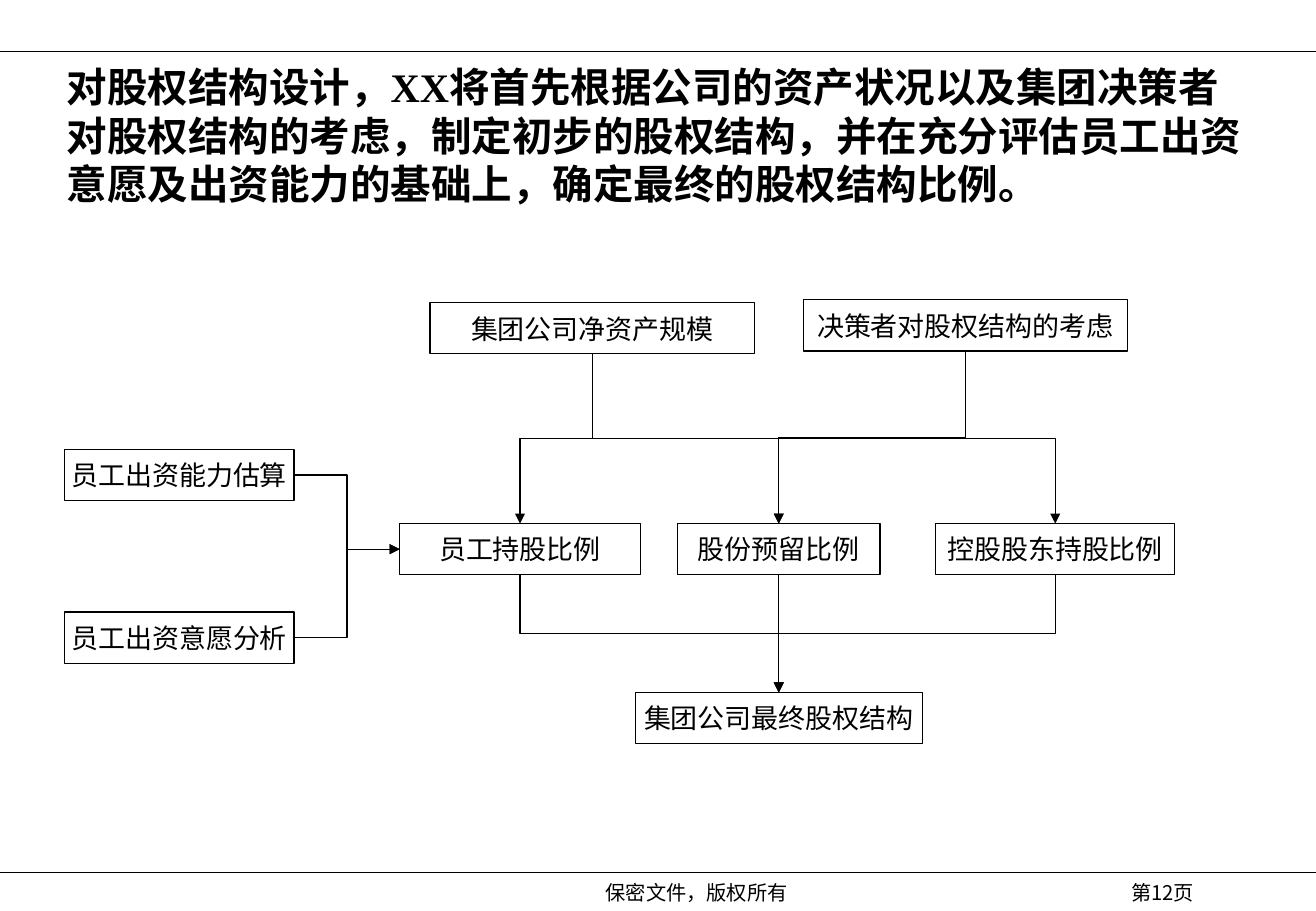
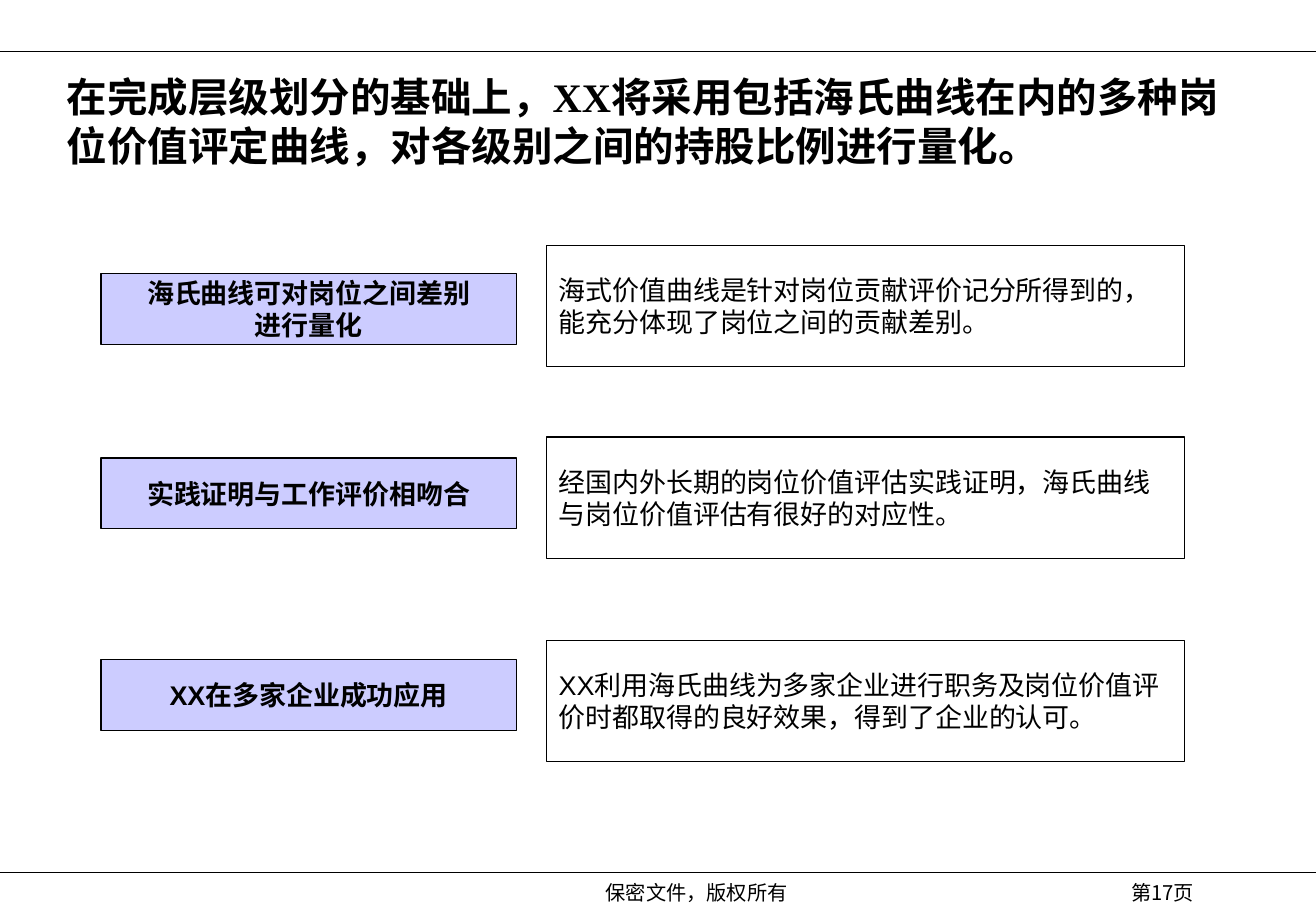
import lxml.etree
import pptx
import pptx.dml.color
import pptx.enum.shapes
import pptx.enum.text
import pptx.oxml.ns
import pptx.util

Cm = pptx.util.Cm
Pt = pptx.util.Pt
qn = pptx.oxml.ns.qn
ALIGN = pptx.enum.text.PP_ALIGN
CONNECTOR = pptx.enum.shapes.MSO_CONNECTOR

BLACK = pptx.dml.color.RGBColor(0, 0, 0)
WHITE = pptx.dml.color.RGBColor(255, 255, 255)
LAVENDER = pptx.dml.color.RGBColor(0xCC, 0xCC, 0xFF)
TITLE_FONT, BODY_FONT, PAGE_FONT = "Times New Roman", "Arial", "Noto Sans CJK SC"

SLIDE_WIDTH, SLIDE_HEIGHT = 27.51, 19.05
RULES = [1.07, 18.24]
FOOTER_TOP, FOOTER_HEIGHT = 18.29, 0.76
FOOTER_TEXT = "保密文件，版权所有"

# Slide content: lengths in centimetres
STRUCTURE_TITLE = ("对股权结构设计，XX将首先根据公司的资产状况以及集团决策者对股权结构的考虑，"
                   "制定初步的股权结构，并在充分评估员工出资意愿及出资能力的基础上，确定最终的股权结构比例。")
BOX_HEIGHT = 1.07
BOXES = {  # name: (text, centre, top, width)
    "assets": ("集团公司净资产规模", 12.38, 6.33, 6.78),
    "decision": ("决策者对股权结构的考虑", 20.18, 6.27, 6.78),
    "staff": ("员工持股比例", 10.87, 10.95, 5.03),
    "reserve": ("股份预留比例", 16.28, 10.95, 4.24),
    "holder": ("控股股东持股比例", 22.06, 10.95, 5),
    "ability": ("员工出资能力估算", 3.75, 9.4, 4.8),
    "willingness": ("员工出资意愿分析", 3.75, 12.8, 4.8),
    "final": ("集团公司最终股权结构", 16.28, 14.48, 6),
}
DOWN_ARROWS = [("assets", "staff"), ("assets", "reserve"), ("assets", "holder"),
               ("decision", "reserve"), ("staff", "final"), ("reserve", "final"),
               ("holder", "final")]
RIGHT_ARROWS = [("ability", "staff"), ("willingness", "staff")]

CURVE_TITLE = ("在完成层级划分的基础上，XX将采用包括海氏曲线在内的多种岗位价值评定曲线，"
               "对各级别之间的持股比例进行量化。")
LABEL_LEFT, LABEL_WIDTH, LABEL_HEIGHT = 2.11, 8.69, 1.48
DETAIL_LEFT, DETAIL_WIDTH, DETAIL_HEIGHT = 11.43, 13.34, 2.54
CURVE_ROWS = [  # label top, label, detail top, detail
    (5.72, "海氏曲线可对岗位之间差别\n进行量化",
     5.13, "海式价值曲线是针对岗位贡献评价记分所得到的，能充分体现了岗位之间的贡献差别。"),
    (9.58, "实践证明与工作评价相吻合",
     9.14, "经国内外长期的岗位价值评估实践证明，海氏曲线与岗位价值评估有很好的对应性。"),
    (13.79, "XX在多家企业成功应用",
     13.39, "XX利用海氏曲线为多家企业进行职务及岗位价值评价时都取得的良好效果，得到了企业的认可。"),
]


def write(shape, text, size, font, align, bold=False, wrap=True):
    frame = shape.text_frame
    frame.text = text
    frame.word_wrap = wrap
    frame.auto_size = pptx.enum.text.MSO_AUTO_SIZE.NONE
    for paragraph in frame.paragraphs:
        paragraph.alignment = align
        paragraph.font.size = Pt(size)
        paragraph.font.name = font
        paragraph.font.bold = bold
        paragraph.font.color.rgb = BLACK


def style_line(connector, arrow=False):
    connector.line.color.rgb = BLACK
    connector.line.width = Pt(0.75)
    properties = connector.element.spPr
    if arrow:
        lxml.etree.SubElement(properties.find(qn("a:ln")), qn("a:tailEnd"), type="triangle")
    lxml.etree.SubElement(properties, qn("a:effectLst"))


def add_footer(slide, left, width, text, font):
    footer = slide.shapes.add_textbox(Cm(left), Cm(FOOTER_TOP), Cm(width), Cm(FOOTER_HEIGHT))
    write(footer, text, 12, font, ALIGN.CENTER)
    return footer


def add_frame(slide):
    """Draw the rules and the footer, then hand them to the layout."""
    parts = [add_footer(slide, 7.11, 14.91, FOOTER_TEXT, TITLE_FONT)]
    for y in RULES:
        rule = slide.shapes.add_connector(CONNECTOR.STRAIGHT, 0, Cm(y), Cm(SLIDE_WIDTH), Cm(y))
        style_line(rule)
        parts.append(rule)
    for number, part in enumerate(parts, 101):
        part.element.xpath(".//p:cNvPr")[0].set("id", str(number))
        slide.slide_layout.shapes.element.append(part.element)


def add_page(presentation, title, title_height, number):
    slide = presentation.slides.add_slide(presentation.slide_layouts[5])
    heading = slide.shapes.title
    heading.left, heading.top = Cm(1.14), Cm(1.32)
    heading.width, heading.height = Cm(25.2), Cm(title_height)
    write(heading, title, 24, TITLE_FONT, ALIGN.LEFT, bold=True)
    heading.text_frame.vertical_anchor = pptx.enum.text.MSO_ANCHOR.MIDDLE
    add_footer(slide, 22.25, 4.11, f"第{number}页", PAGE_FONT)
    return slide


def add_box(slide, left, top, width, height, text, fill=None,
            align=ALIGN.CENTER, bold=False, wrap=False):
    box = slide.shapes.add_shape(pptx.enum.shapes.MSO_SHAPE.RECTANGLE,
                                 Cm(left), Cm(top), Cm(width), Cm(height))
    box.shadow.inherit = False
    if fill is None:
        box.fill.background()
    else:
        box.fill.solid()
        box.fill.fore_color.rgb = fill
    box.line.color.rgb = BLACK
    box.line.width = Pt(0.75)
    write(box, text, 16, BODY_FONT, align, bold, wrap)
    box.text_frame.vertical_anchor = pptx.enum.text.MSO_ANCHOR.MIDDLE
    return box


def add_arrow(slide, source, target, sides):
    connector = slide.shapes.add_connector(CONNECTOR.ELBOW, 0, 0, 0, 0)
    connector.begin_connect(source, sides[0])
    connector.end_connect(target, sides[1])
    style_line(connector, arrow=True)
    return connector


def add_down_arrow(slide, source, target):
    start_x = source.left + source.width // 2
    end_x = target.left + target.width // 2
    start_y, end_y = source.top + source.height, target.top
    if start_x == end_x:
        straight = slide.shapes.add_connector(CONNECTOR.STRAIGHT, start_x, start_y, end_x, end_y)
        straight.begin_connect(source, 2)
        straight.end_connect(target, 0)
        style_line(straight, arrow=True)
        return
    # An elbow that leaves downwards is a turned one, centred on the same point
    connector = add_arrow(slide, source, target, (2, 0))
    length, spread = end_y - start_y, abs(end_x - start_x)
    connector.left = (start_x + end_x - length) // 2
    connector.top = (start_y + end_y - spread) // 2
    connector.width, connector.height = length, spread
    transform = connector.element.spPr.find(qn("a:xfrm"))
    transform.attrib.clear()
    if end_x < start_x:
        transform.set("rot", "5400000")
    else:
        transform.set("rot", "16200000")
        transform.set("flipH", "1")


def build_structure(presentation):
    slide = add_page(presentation, STRUCTURE_TITLE, 3, 12)
    add_frame(slide)
    boxes = {name: add_box(slide, centre - width / 2, top, width, BOX_HEIGHT, text, WHITE)
             for name, (text, centre, top, width) in BOXES.items()}
    for source, target in DOWN_ARROWS:
        add_down_arrow(slide, boxes[source], boxes[target])
    for source, target in RIGHT_ARROWS:
        add_arrow(slide, boxes[source], boxes[target], (3, 1))


def build_curve(presentation):
    slide = add_page(presentation, CURVE_TITLE, 2.41, 17)
    for label_top, label, detail_top, detail in CURVE_ROWS:
        add_box(slide, LABEL_LEFT, label_top, LABEL_WIDTH, LABEL_HEIGHT, label,
                LAVENDER, bold=True)
        add_box(slide, DETAIL_LEFT, detail_top, DETAIL_WIDTH, DETAIL_HEIGHT, detail,
                align=ALIGN.LEFT, wrap=True)


def main():
    presentation = pptx.Presentation()
    presentation.slide_width = Cm(SLIDE_WIDTH)
    presentation.slide_height = Cm(SLIDE_HEIGHT)
    build_structure(presentation)
    build_curve(presentation)
    presentation.save("out.pptx")


if __name__ == "__main__":
    main()
